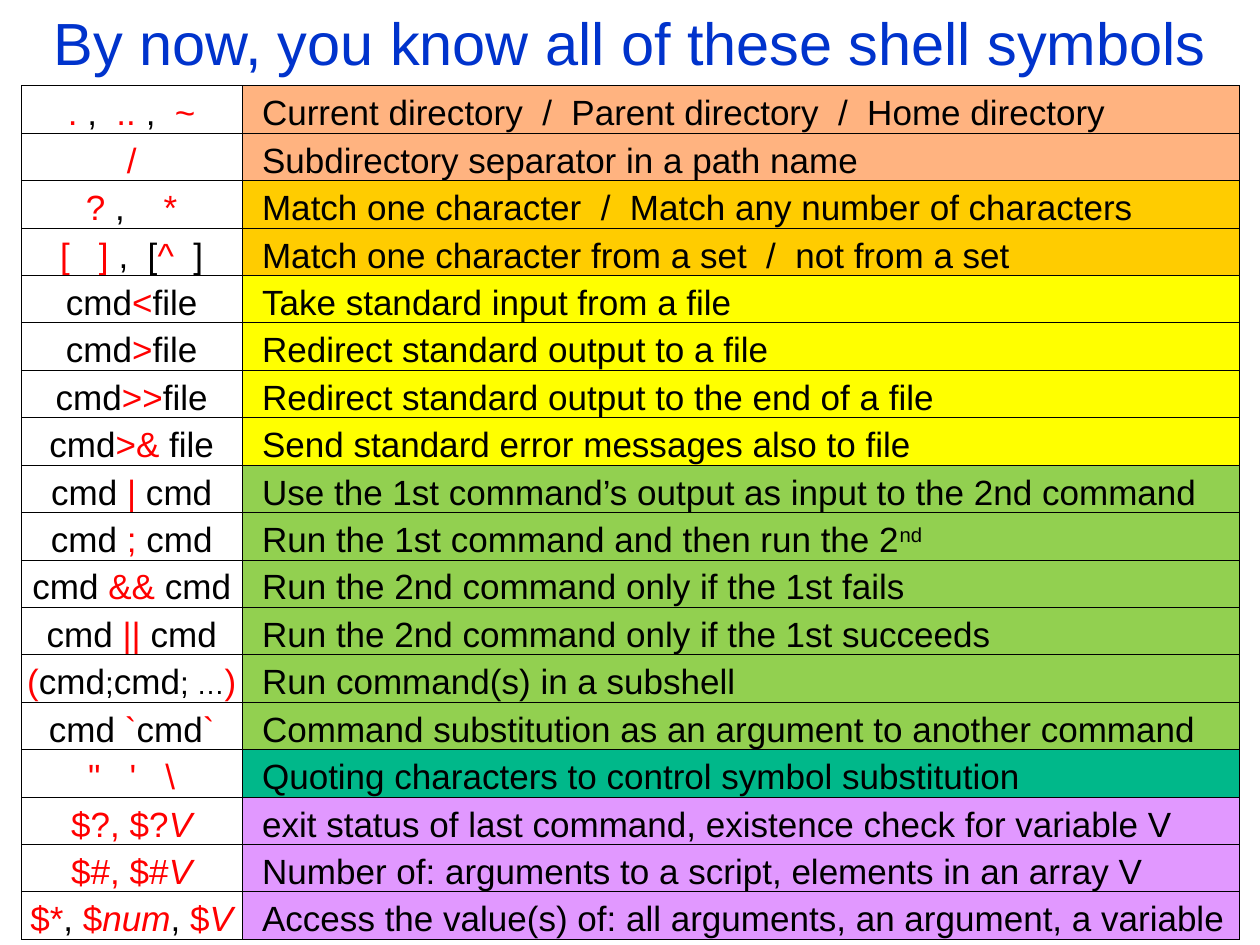
from lxml import etree
from pptx import Presentation
from pptx.dml.color import RGBColor
from pptx.enum import text as t
from pptx.oxml.ns import qn
from pptx.util import Inches, Pt

FONT = "Arial"
COLORS = {
    "title": "0033CC", "plain": "000000", "symbol": "FF0000", "border": "000000",
    "paths": "FFB380", "wildcards": "FFCC00", "redirection": "FFFF00",
    "commands": "92D050", "quoting": "00B88A", "variables": "E198FF",
}


def plain(text, size=20):
    return text, "plain", size, {}


def symbol(text, italic=False):
    return text, "symbol", 20, {"i": "1"} if italic else {}


def superscript(text):
    return text, "plain", 20, {"baseline": "30000"}


def command(operator, before="cmd", after="cmd"):
    return [plain(before), symbol(operator), plain(after)]


def explain(text):
    return [plain(text)]


# Topic, symbol runs, explanation runs
ROWS = [
    ("paths", [symbol(". "), plain(","), symbol("  .. "), plain(","), symbol("  ~")],
     explain("Current directory  /  Parent directory  /  Home directory")),
    ("paths", [symbol("/")], explain("Subdirectory separator in a path name")),
    ("wildcards", [symbol("? "), plain(","), symbol("    *")],
     explain("Match one character  /  Match any number of characters")),
    ("wildcards", [symbol("[   ] "), plain(",  ["), symbol("^"), plain("  ]")],
     explain("Match one character from a set  /  not from a set")),
    ("redirection", command("<", after="file"), explain("Take standard input from a file")),
    ("redirection", command(">", after="file"), explain("Redirect standard output to a file")),
    ("redirection", command(">>", after="file"),
     explain("Redirect standard output to the end of a file")),
    ("redirection", command(">&", after=" file"),
     explain("Send standard error messages also to file")),
    ("commands", command(" | "),
     explain("Use the 1st command’s output as input to the 2nd command")),
    ("commands", command("; ", before="cmd "),
     [plain("Run the 1st command and then run the 2"), superscript("nd")]),
    ("commands", command("&& ", before="cmd "),
     explain("Run the 2nd command only if the 1st fails")),
    ("commands", command("|| ", before="cmd "),
     explain("Run the 2nd command only if the 1st succeeds")),
    ("commands", [symbol("("), plain("cmd"), plain(";", 18), plain("cmd"), plain(";", 18),
                  plain(" …", 16), symbol(")")],
     explain("Run command(s) in a subshell")),
    ("commands", command("`", before="cmd ") + [symbol("`")],
     explain("Command substitution as an argument to another command")),
    ("quoting", [symbol("\"   '   \\")],
     explain("Quoting characters to control symbol substitution")),
    ("variables", [symbol("$?, $?"), symbol("V", italic=True)],
     explain("exit status of last command, existence check for variable V")),
    ("variables", [symbol("$#, $#"), symbol("V", italic=True)],
     explain("Number of: arguments to a script, elements in an array V")),
    ("variables", [symbol("$*"), plain(","), symbol(" $"), symbol("num", italic=True),
                   plain(", "), symbol("$"), symbol("V", italic=True)],
     explain("Access the value(s) of: all arguments, an argument, a variable")),
]


def rgb(name):
    return RGBColor.from_string(COLORS[name])


def style_run(run, color, size):
    run.font.name = FONT
    run.font.size = Pt(size)
    run.font.color.rgb = rgb(color)


def add_title(slide, wording):
    title = slide.shapes.title
    title.left, title.top = Inches(0), Inches(0)
    title.width, title.height = Inches(10), Inches(0.67)
    frame = title.text_frame
    frame.text = wording
    frame.auto_size = t.MSO_AUTO_SIZE.NONE
    frame.vertical_anchor = t.MSO_ANCHOR.MIDDLE
    frame.paragraphs[0].alignment = t.PP_ALIGN.CENTER
    style_run(frame.paragraphs[0].runs[0], "title", 34)


def add_borders(cell):
    properties = cell._tc.get_or_add_tcPr()
    for side in ("lnL", "lnR", "lnT", "lnB"):
        line = etree.SubElement(properties, qn(f"a:{side}"), w=str(Pt(0.5)))
        fill = etree.SubElement(line, qn("a:solidFill"))
        etree.SubElement(fill, qn("a:srgbClr"), val=COLORS["border"])


def fill_cell(cell, runs, alignment, indent, background=None):
    cell.margin_left = Inches(indent)
    cell.margin_right = cell.margin_top = Inches(0.01)
    cell.margin_bottom = Inches(0)
    cell.vertical_anchor = t.MSO_ANCHOR.BOTTOM
    add_borders(cell)
    if background:
        cell.fill.solid()
        cell.fill.fore_color.rgb = rgb(background)
    else:
        cell.fill.background()
    paragraph = cell.text_frame.paragraphs[0]
    paragraph.alignment = alignment
    for wording, color, size, extras in runs:
        run = paragraph.add_run()
        run.text = wording
        style_run(run, color, size)
        for attribute, value in extras.items():
            run.font._element.set(attribute, value)


def add_symbol_table(slide):
    table = slide.shapes.add_table(len(ROWS), 2, Inches(0.17), Inches(0.68),
                                   Inches(9.67), Inches(6.78)).table
    table.first_row = table.horz_banding = False
    table.columns[0].width = Inches(1.75)
    table.columns[1].width = Inches(7.92)
    for row, (topic, symbols, explanation) in zip(table.rows, ROWS):
        fill_cell(row.cells[0], symbols, t.PP_ALIGN.CENTER, 0.01)
        fill_cell(row.cells[1], explanation, t.PP_ALIGN.LEFT, 0.16, topic)


def main():
    deck = Presentation()
    deck.slide_width, deck.slide_height = Inches(10), Inches(7.5)
    slide = deck.slides.add_slide(deck.slide_layouts[5])
    add_title(slide, "By now, you know all of these shell symbols")
    add_symbol_table(slide)
    deck.save("out.pptx")


if __name__ == "__main__":
    main()
